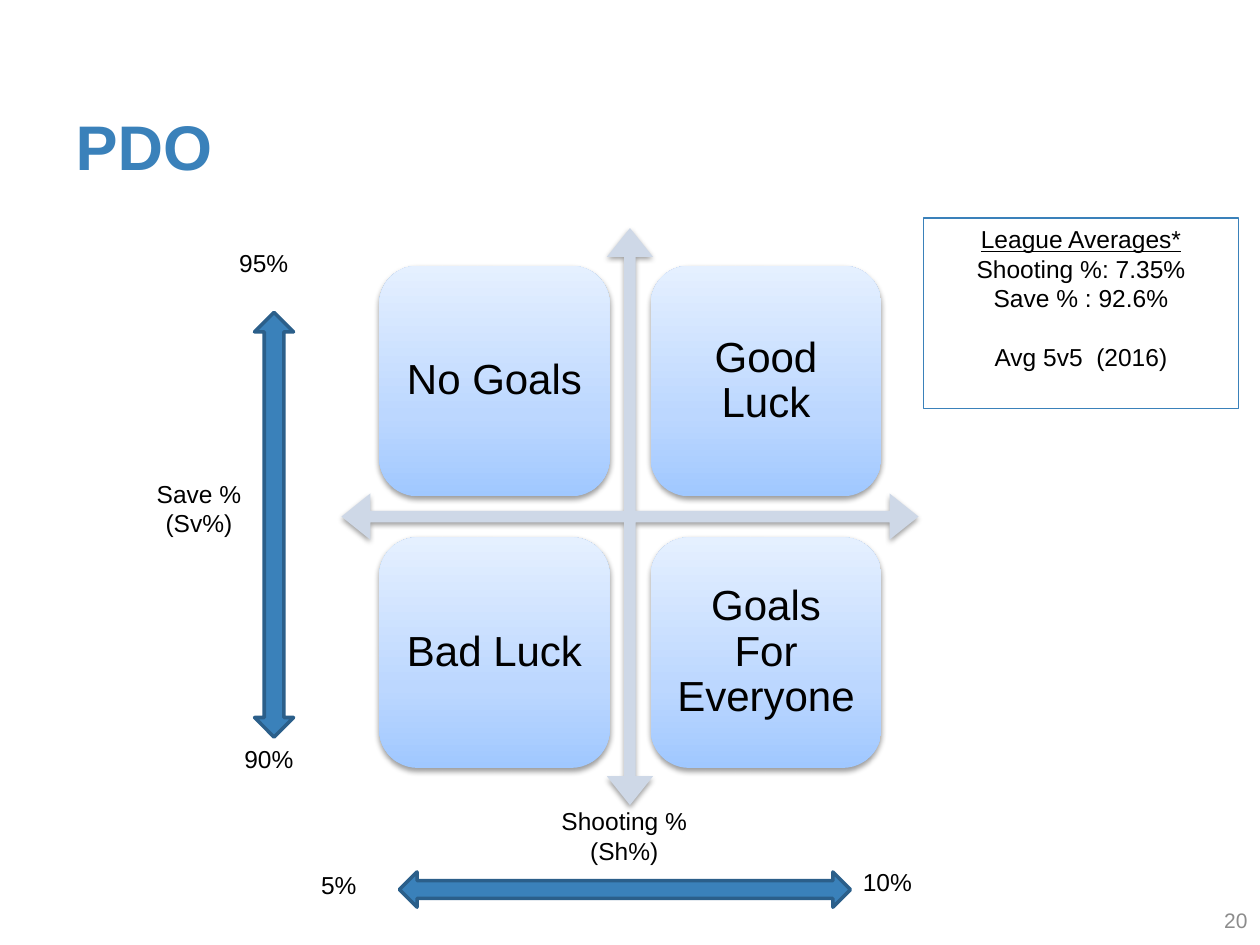
import copy
from dataclasses import dataclass

import pptx
import pptx.dml.color
import pptx.enum.shapes
import pptx.enum.text
import pptx.oxml
import pptx.oxml.ns
import pptx.util
from pptx.util import Inches

Pt = pptx.util.Pt
Kind = pptx.enum.shapes.MSO_SHAPE
Align = pptx.enum.text.PP_ALIGN
Anchor = pptx.enum.text.MSO_ANCHOR

BLUE, EDGE, PALE, BLACK = "3A81BA", "2B5F8A", "CED8E7", "000000"
BLEND = [(0, "A0C8FF"), (0.35, "BCD7FF"), (1, "E5F0FF")]


@dataclass
class Box:
    left: float
    top: float
    width: float
    height: float

    def spots(self) -> list:
        return [Inches(v) for v in (self.left, self.top, self.width, self.height)]


@dataclass
class Label:
    lines: list
    box: Box
    align: Align = Align.LEFT
    size: float = 14
    color: str = BLACK
    anchor: Anchor = Anchor.TOP


def paint(color: str) -> pptx.dml.color.RGBColor:
    return pptx.dml.color.RGBColor.from_string(color)


def write(shape, lines: list, size: float, color: str, align: Align,
          anchor: Anchor, bold: bool = False) -> list:
    """Fill a shape with one paragraph per line."""
    frame = shape.text_frame
    frame.word_wrap = True
    frame.vertical_anchor = anchor
    frame.text = "\n".join(lines)
    for para in frame.paragraphs:
        para.alignment = align
        font = para.font
        font.name, font.size, font.bold = "Arial", Pt(size), bold
        font.color.rgb = paint(color)
    return list(frame.paragraphs)


def inset(shape, gap: float) -> None:
    frame = shape.text_frame
    frame.margin_left = frame.margin_right = Inches(gap)
    frame.margin_top = frame.margin_bottom = Inches(gap)


def draw(slide, kind: Kind, box: Box, fill: str = "", line: str = "",
         width: float = 0):
    """Add a flat preset shape; an empty colour means none."""
    shape = slide.shapes.add_shape(kind, *box.spots())
    shape.shadow.inherit = False
    if fill:
        shape.fill.solid()
        shape.fill.fore_color.rgb = paint(fill)
    else:
        shape.fill.background()
    if line:
        shape.line.color.rgb = paint(line)
        shape.line.width = Pt(width)
    else:
        shape.line.fill.background()
    return shape


def shade(shape) -> None:
    """Cast a soft shadow straight down."""
    space = pptx.oxml.ns.nsdecls("a")
    effect = shape._element.spPr.find(pptx.oxml.ns.qn("a:effectLst"))
    effect.append(pptx.oxml.parse_xml(
        f'<a:outerShdw {space} blurRad="{Pt(3.1)}" dist="{Pt(1.6)}" dir="5400000"'
        ' rotWithShape="0"><a:srgbClr val="000000"><a:alpha val="38000"/>'
        '</a:srgbClr></a:outerShdw>'))


def blend(shape) -> None:
    """Fill with the three-stop blue gradient, light at the top."""
    shape.fill.gradient()
    shape.fill.gradient_angle = 90
    stops = shape._element.spPr.find(".//" + pptx.oxml.ns.qn("a:gsLst"))
    stops.insert(1, copy.deepcopy(stops[0]))
    for stop, (place, color) in zip(shape.fill.gradient_stops, BLEND):
        stop.position = place
        stop.color.rgb = paint(color)


def label(slide, item: Label) -> None:
    shape = slide.shapes.add_textbox(*item.box.spots())
    write(shape, item.lines, item.size, item.color, item.align, item.anchor)


def main() -> None:
    deck = pptx.Presentation()
    deck.slide_width, deck.slide_height = Inches(10), Inches(7.5)
    slide = deck.slides.add_slide(deck.slide_layouts[5])

    # Title
    title = slide.shapes.title
    title.left, title.top, title.width, title.height = Box(0.5, 0.3, 9, 1.25).spots()
    write(title, ["PDO"], 36, BLUE, Align.LEFT, Anchor.BOTTOM, bold=True)
    inset(title, 0.1)

    # Four-way axes
    cross = draw(slide, Kind.QUAD_ARROW, Box(2.71, 1.81, 4.58, 4.58), PALE)
    for i, part in enumerate((0.02, 0.04, 0.05)):
        cross.adjustments[i] = part
    shade(cross)

    # Quadrants
    names = ["No Goals", "Good Luck", "Bad Luck", "Goals For Everyone"]
    side, step = 1.83, 2.155
    for i, name in enumerate(names):
        row, col = divmod(i, 2)
        tile = draw(slide, Kind.ROUNDED_RECTANGLE,
                    Box(3.01 + col * step, 2.11 + row * step, side, side))
        blend(tile)
        shade(tile)
        inset(tile, 0.1)
        para, = write(tile, [name], 24, BLACK, Align.CENTER, Anchor.MIDDLE)
        para.line_spacing = 0.9

    # League averages
    panel = draw(slide, Kind.RECTANGLE, Box(7.33, 1.73, 2.5, 1.51), "", BLUE, 0.75)
    facts = ["League Averages*", "Shooting %: 7.35%", "Save % : 92.6%",
             "Avg 5v5  (2016)"]
    paras = write(panel, facts, 14, BLACK, Align.CENTER, Anchor.TOP)
    paras[0].font.underline = True
    paras[-1].space_before = Pt(16.8)

    # Scale arrows
    draw(slide, Kind.LEFT_RIGHT_ARROW, Box(3.17, 6.92, 3.58, 0.28), BLUE, EDGE, 2)
    draw(slide, Kind.UP_DOWN_ARROW, Box(2.02, 2.48, 0.31, 3.37), BLUE, EDGE, 2)

    # Scale labels and page number
    for item in (
        Label(["Shooting %", "(Sh%)"], Box(4.04, 6.35, 1.83, 0.71), Align.CENTER),
        Label(["Save %", "(Sv%)"], Box(1.08, 3.75, 1, 0.71), Align.CENTER),
        Label(["95%"], Box(1.8, 1.92, 0.83, 0.4)),
        Label(["90%"], Box(1.84, 5.86, 0.75, 0.4)),
        Label(["5%"], Box(2.45, 6.86, 0.75, 0.4)),
        Label(["10%"], Box(6.75, 6.83, 0.83, 0.4)),
        Label(["20"], Box(7.67, 7.1, 2.33, 0.4), Align.RIGHT, 12, "8C8C8C",
              Anchor.MIDDLE),
    ):
        label(slide, item)

    deck.save("out.pptx")


if __name__ == "__main__":
    main()
